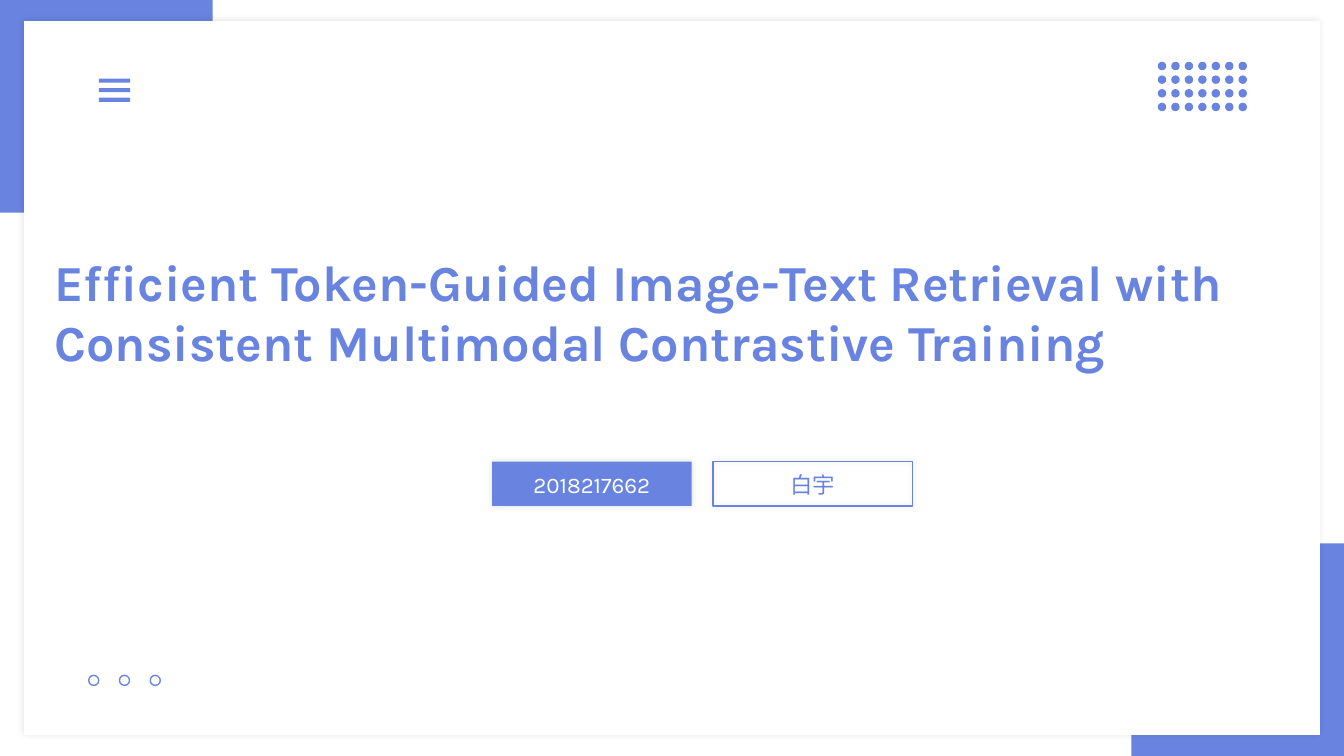
from dataclasses import dataclass
from typing import Optional

import pptx
import pptx.dml.color
import pptx.enum.shapes
import pptx.enum.text
import pptx.oxml
import pptx.oxml.ns
import pptx.util
from pptx.util import Inches

BLUE = pptx.dml.color.RGBColor(0x69, 0x84, 0xE0)
WHITE = pptx.dml.color.RGBColor(0xFF, 0xFF, 0xFF)
FONT = "Karla"
SHAPE = pptx.enum.shapes.MSO_SHAPE
ALIGN = pptx.enum.text.PP_ALIGN
RGB = pptx.dml.color.RGBColor

SHADOW_XML = (
    f'<a:effectLst {pptx.oxml.ns.nsdecls("a")}>'
    '<a:outerShdw blurRad="63500" algn="ctr" rotWithShape="0">'
    '<a:srgbClr val="000000"><a:alpha val="12000"/></a:srgbClr>'
    "</a:outerShdw></a:effectLst>"
)


@dataclass
class Box:
    left: float
    top: float
    width: float
    height: float

    def lengths(self) -> tuple:
        return tuple(Inches(v) for v in (self.left, self.top, self.width, self.height))


@dataclass
class Button:
    left: float
    text: str
    fill: Optional[RGB]
    line: Optional[RGB]
    color: RGB


BUTTONS = [
    Button(4.88, "2018217662", BLUE, None, WHITE),
    Button(7.07, "白宇", None, BLUE, BLUE),
]


def add_shape(s, kind, box: Box, fill: Optional[RGB] = None, line: Optional[RGB] = None,
              corner: Optional[float] = None, shadow: bool = False):
    sp = s.shapes.add_shape(kind, *box.lengths())
    if fill is None:
        sp.fill.background()
    else:
        sp.fill.solid()
        sp.fill.fore_color.rgb = fill
    if line is None:
        sp.line.fill.background()
    else:
        sp.line.color.rgb = line
        sp.line.width = pptx.util.Pt(1)
    if corner is not None:
        sp.adjustments[0] = corner
    if shadow:
        sp.element.spPr.append(pptx.oxml.parse_xml(SHADOW_XML))
    else:
        sp.shadow.inherit = False
    return sp


def add_text(s, box: Box, text: str, size: float, color: RGB,
             bold: bool = False, align=ALIGN.LEFT) -> None:
    tf = s.shapes.add_textbox(*box.lengths()).text_frame
    tf.word_wrap = True
    tf.auto_size = pptx.enum.text.MSO_AUTO_SIZE.SHAPE_TO_FIT_TEXT
    p = tf.paragraphs[0]
    p.text = text
    p.alignment = align
    p.font.name = FONT
    p.font.size = pptx.util.Pt(size)
    p.font.bold = bold
    p.font.color.rgb = color


def add_button(s, button: Button) -> None:
    add_shape(s, SHAPE.ROUNDED_RECTANGLE, Box(button.left, 4.58, 1.98, 0.44),
              button.fill, button.line, corner=0, shadow=True)
    add_text(s, Box(button.left - 0.09, 4.62, 2.16, 0.37), button.text, 16,
             button.color, align=ALIGN.CENTER)


def add_frame(s) -> None:
    """Blue corner squares under the white card."""
    side = 2.11
    for left, top in ((0, 0), (13.33 - side, 7.5 - side)):
        add_shape(s, SHAPE.RECTANGLE, Box(left, top, side, side), BLUE)
    add_shape(s, SHAPE.RECTANGLE, Box(0.24, 0.21, 12.85, 7.08), WHITE, shadow=True)


def add_ornaments(s) -> None:
    """Menu bars, three rings and the dot grid."""
    for i in range(3):
        add_shape(s, SHAPE.ROUNDED_RECTANGLE, Box(0.98, 0.78 + i * 0.095, 0.31, 0.04),
                  BLUE, corner=0.09)
    for i in range(3):
        add_shape(s, SHAPE.OVAL, Box(0.88 + i * 0.305, 6.7, 0.1, 0.1), line=BLUE)
    for col in range(7):
        for row in range(4):
            dot = Box(11.49 + col * 0.1335, 0.62 + row * 0.1355, 0.07, 0.07)
            add_shape(s, SHAPE.OVAL, dot, BLUE, BLUE)


def main() -> None:
    prs = pptx.Presentation()
    prs.slide_width, prs.slide_height = Inches(13.33), Inches(7.5)
    s = prs.slides.add_slide(prs.slide_layouts[6])
    add_frame(s)
    add_text(s, Box(0.44, 2.44, 12.45, 1.31),
             "Efficient Token-Guided Image-Text Retrieval with "
             "Consistent Multimodal Contrastive Training", 36, BLUE, bold=True)
    for button in BUTTONS:
        add_button(s, button)
    add_ornaments(s)
    prs.save("out.pptx")


if __name__ == "__main__":
    main()
